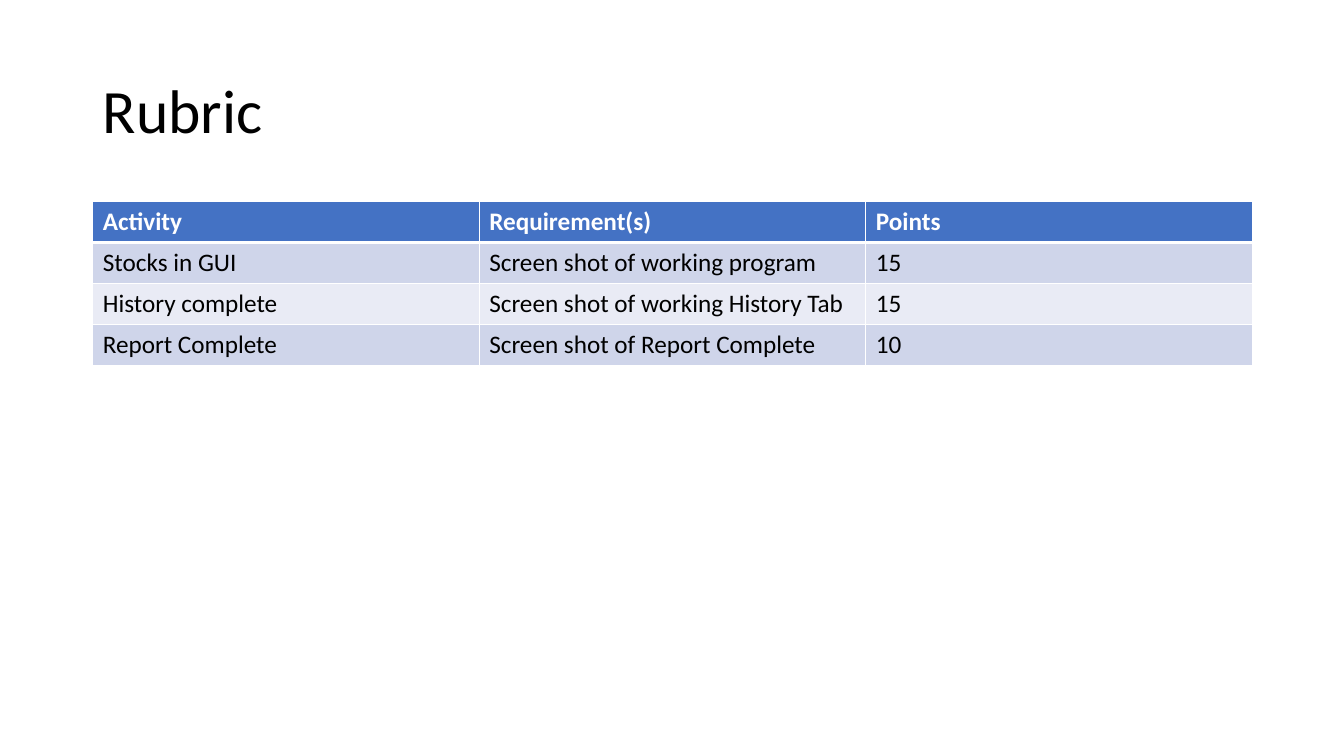
from lxml.etree import SubElement
from pptx import Presentation
from pptx.dml.color import RGBColor
from pptx.enum.text import MSO_ANCHOR as Anchor, PP_ALIGN as Align
from pptx.oxml.ns import qn
from pptx.util import Inches, Pt

# Content
TITLE = "Rubric"
RUBRIC = [
    ("Activity", "Requirement(s)", "Points"),
    ("Stocks in GUI", "Screen shot of working program", "15"),
    ("History complete", "Screen shot of working History Tab", "15"),
    ("Report Complete", "Screen shot of Report Complete", "10"),
]

# Colours
BLACK = RGBColor(0x00, 0x00, 0x00)
WHITE = RGBColor(0xFF, 0xFF, 0xFF)
HEADER_BLUE = RGBColor(0x44, 0x72, 0xC4)
BANDS = [RGBColor(0xE9, 0xEB, 0xF5), RGBColor(0xCF, 0xD5, 0xEA)]

# Layout in inches
SLIDE_WIDTH, SLIDE_HEIGHT = 13.33, 7.5
LEFT, CONTENT_WIDTH = 0.92, 11.5
TITLE_TOP, TITLE_HEIGHT = 0.4, 1.45
TABLE_TOP, ROW_HEIGHT = 2, 0.405


def write_text(frame, text, size, color=BLACK, bold=False, spacing=1.0):
    paragraph = frame.paragraphs[0]
    paragraph.alignment = Align.LEFT
    paragraph.line_spacing = spacing
    run = paragraph.add_run()
    run.text = text
    run.font.name = "Calibri"
    run.font.size = Pt(size)
    run.font.bold = bold
    run.font.color.rgb = color


def add_borders(cell, top, bottom):
    properties = cell._tc.get_or_add_tcPr()
    widths = {"lnL": 1, "lnR": 1, "lnT": top, "lnB": bottom}
    for side, width in widths.items():
        line = SubElement(properties, qn(f"a:{side}"), w=str(Pt(width)))
        fill = SubElement(line, qn("a:solidFill"))
        SubElement(fill, qn("a:srgbClr"), val=str(WHITE))


def add_title(slide):
    title = slide.shapes.title
    title.left, title.top = Inches(LEFT), Inches(TITLE_TOP)
    title.width, title.height = Inches(CONTENT_WIDTH), Inches(TITLE_HEIGHT)
    title.text_frame.vertical_anchor = Anchor.MIDDLE
    write_text(title.text_frame, TITLE, size=44, spacing=0.9)


def add_rubric(slide):
    table = slide.shapes.add_table(
        len(RUBRIC), len(RUBRIC[0]), Inches(LEFT), Inches(TABLE_TOP),
        Inches(CONTENT_WIDTH), Inches(ROW_HEIGHT * len(RUBRIC))).table
    for row, texts in enumerate(RUBRIC):
        header = row == 0
        for column, text in enumerate(texts):
            cell = table.cell(row, column)
            # A thick rule divides the header from the first row
            add_borders(cell, top=3 if row == 1 else 1, bottom=3 if header else 1)
            cell.fill.solid()
            cell.fill.fore_color.rgb = HEADER_BLUE if header else BANDS[row % 2]
            write_text(cell.text_frame, text, size=18, bold=header,
                       color=WHITE if header else BLACK)


def main():
    presentation = Presentation()
    presentation.slide_width = Inches(SLIDE_WIDTH)
    presentation.slide_height = Inches(SLIDE_HEIGHT)
    slide = presentation.slides.add_slide(presentation.slide_layouts[5])
    add_title(slide)
    add_rubric(slide)
    presentation.save("out.pptx")


if __name__ == "__main__":
    main()
